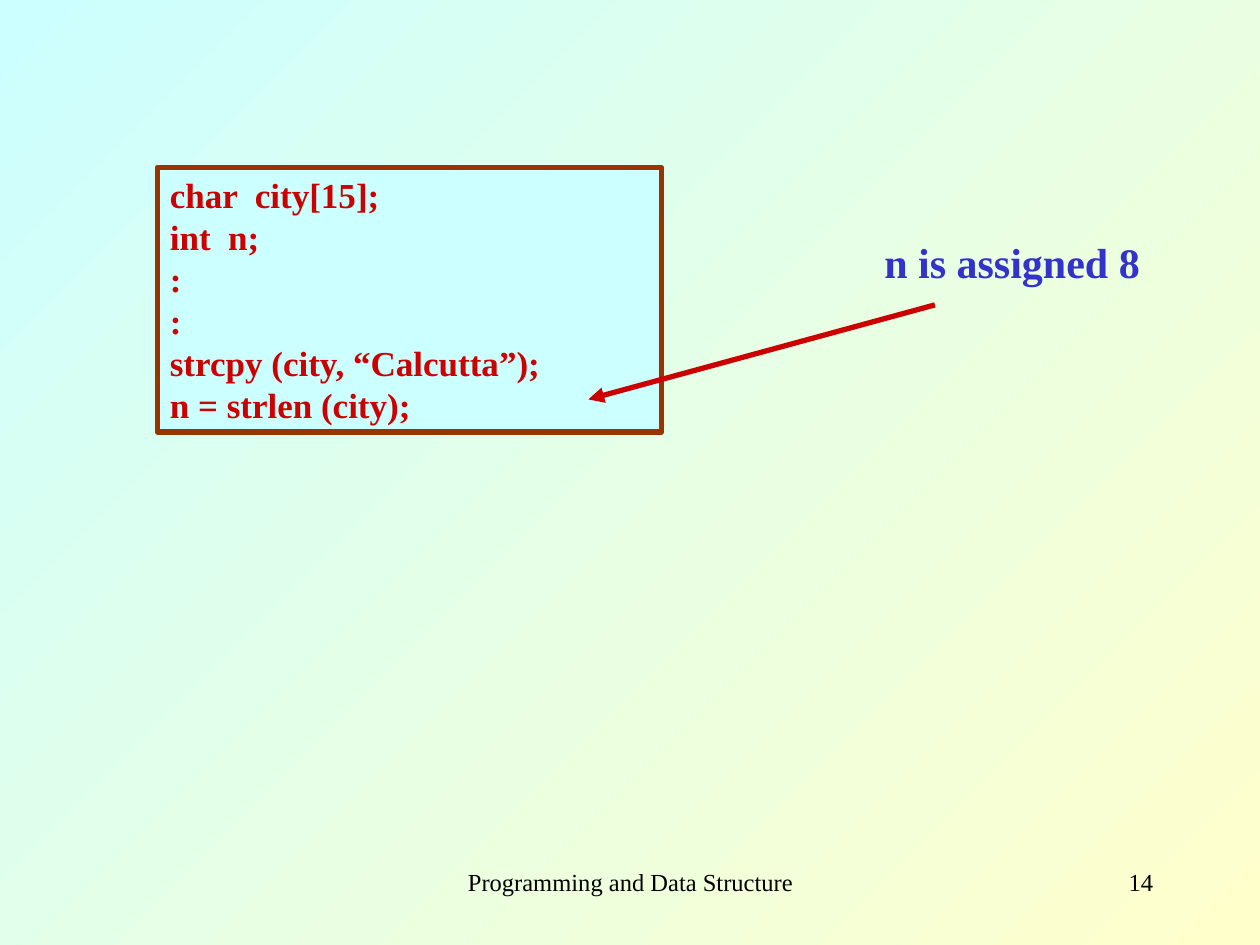
from dataclasses import dataclass

from lxml import etree
from pptx import Presentation
from pptx.dml.color import RGBColor
from pptx.enum.shapes import MSO_CONNECTOR, MSO_SHAPE
from pptx.enum.text import MSO_ANCHOR, PP_ALIGN
from pptx.oxml.ns import qn
from pptx.util import Inches, Pt

LEFT, CENTER, RIGHT = PP_ALIGN.LEFT, PP_ALIGN.CENTER, PP_ALIGN.RIGHT
TOP = MSO_ANCHOR.TOP
RECTANGLE = MSO_SHAPE.RECTANGLE
STRAIGHT = MSO_CONNECTOR.STRAIGHT

FONT = "Times New Roman"
BLACK = RGBColor(0x00, 0x00, 0x00)
RED = RGBColor(0xCC, 0x00, 0x00)
BLUE = RGBColor(0x33, 0x33, 0xCC)
BROWN = RGBColor(0x99, 0x33, 0x00)
PALE_CYAN = RGBColor(0xCC, 0xFF, 0xFF)
PALE_YELLOW = RGBColor(0xFF, 0xFF, 0xCC)

CODE = (
    "char  city[15];",
    "int  n;",
    ":",
    ":",
    "strcpy (city, “Calcutta”);",
    "n = strlen (city);",
)


@dataclass(frozen=True)
class Label:
    text: str
    left: float
    top: float
    width: float
    size: int
    color: RGBColor = BLACK
    bold: bool = False
    align: PP_ALIGN = LEFT
    height: float = 0.5


LABELS = (
    Label("Programming and Data Structure", 3.42, 6.83, 3.17, 14, align=CENTER),
    Label("14", 7.17, 6.83, 2.08, 14, align=RIGHT),
    Label("n is assigned 8", 6.92, 1.83, 2.58, 24, BLUE, bold=True),
)


def style_paragraph(para, size: int, color: RGBColor, bold: bool, align: PP_ALIGN) -> None:
    para.alignment = align
    para.font.name = FONT
    para.font.size = Pt(size)
    para.font.bold = bold
    para.font.color.rgb = color


def paint_background(page) -> None:
    fill = page.background.fill
    fill.gradient()
    fill.gradient_angle = 315
    for stop, color in zip(fill.gradient_stops, (PALE_CYAN, PALE_YELLOW)):
        stop.color.rgb = color


def add_label(page, label: Label) -> None:
    box = page.shapes.add_textbox(
        Inches(label.left), Inches(label.top), Inches(label.width), Inches(label.height)
    )
    frame = box.text_frame
    frame.word_wrap = True
    frame.text = label.text
    style_paragraph(frame.paragraphs[0], label.size, label.color, label.bold, label.align)


def add_code_box(page) -> None:
    box = page.shapes.add_shape(RECTANGLE, Inches(1.25), Inches(1.33), Inches(4), Inches(2.1))
    box.shadow.inherit = False
    box.fill.solid()
    box.fill.fore_color.rgb = PALE_CYAN
    box.line.color.rgb = BROWN
    box.line.width = Pt(3)
    frame = box.text_frame
    frame.word_wrap = True
    frame.vertical_anchor = TOP
    frame.text = "\n".join(CODE)
    for para in frame.paragraphs:
        style_paragraph(para, 20, RED, True, LEFT)
        para.line_spacing = Pt(24)


def add_arrow(page) -> None:
    arrow = page.shapes.add_connector(
        STRAIGHT, Inches(7.42), Inches(2.42), Inches(4.67), Inches(3.17)
    )
    arrow.line.color.rgb = RED
    arrow.line.width = Pt(3)
    etree.SubElement(arrow.line._get_or_add_ln(), qn("a:tailEnd"), type="triangle")
    etree.SubElement(arrow._element.spPr, qn("a:effectLst"))


def main() -> None:
    deck = Presentation()
    deck.slide_width, deck.slide_height = Inches(10), Inches(7.5)
    page = deck.slides.add_slide(deck.slide_layouts[6])
    paint_background(page)
    add_code_box(page)
    for label in LABELS:
        add_label(page, label)
    add_arrow(page)
    deck.save("out.pptx")


if __name__ == "__main__":
    main()
